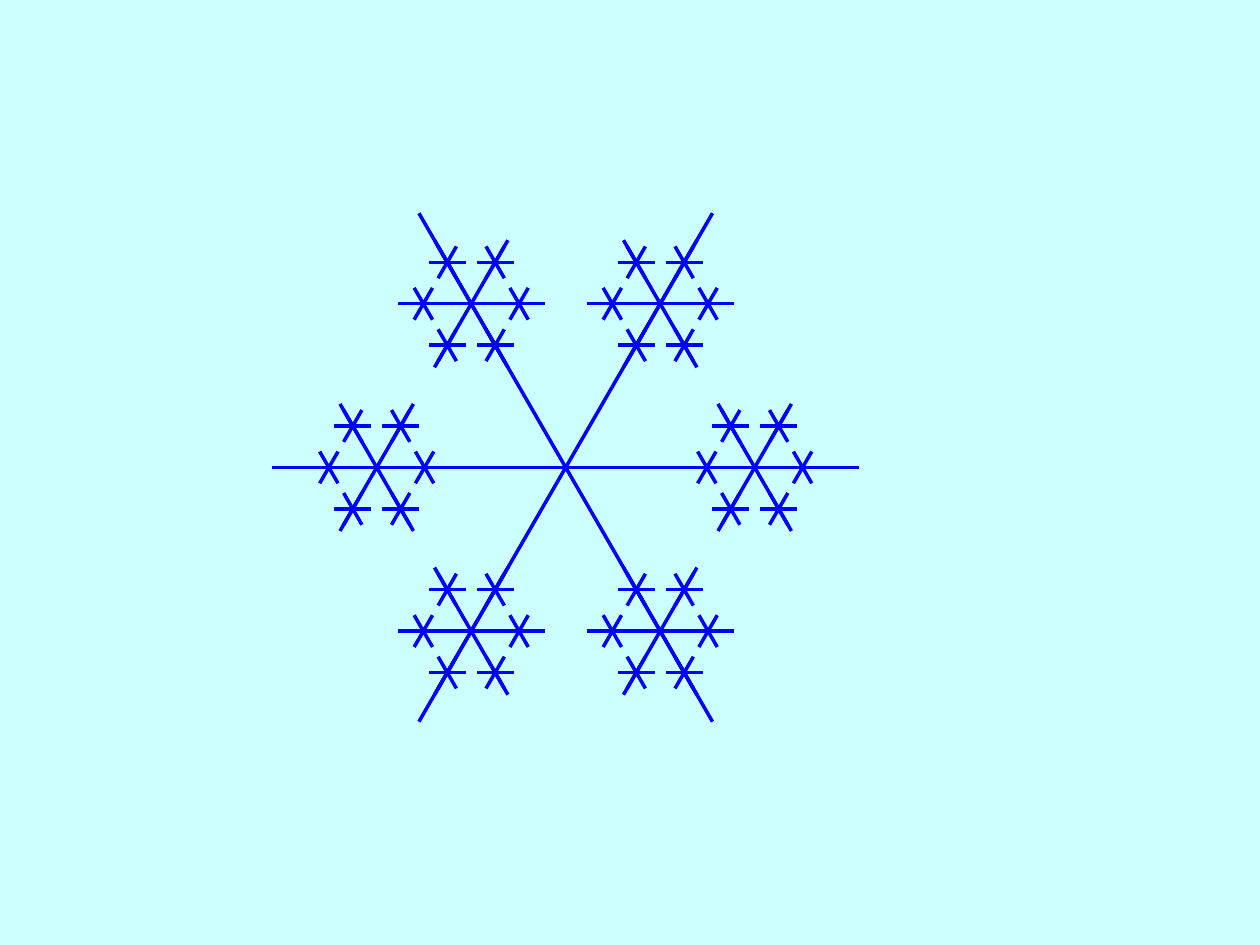
import math
from dataclasses import dataclass

import pptx
import pptx.dml.color
import pptx.enum.shapes
import pptx.oxml.ns
import pptx.slide
import pptx.util
from lxml import etree

Inches = pptx.util.Inches


@dataclass(frozen=True)
class Theme:
    back: str = "CCFFFF"
    ink: str = "0000FF"
    width: float = 2


@dataclass(frozen=True)
class Star:
    x: float
    y: float
    reach: float


THEME = Theme()
CORE = Star(4.49, 3.71, 2.33)
GAPS = (1.5, 0.38)  # distance from a star to its six buds, per level
SHRINK = 4  # each level is a quarter of the size of the one before


def color(code: str) -> pptx.dml.color.RGBColor:
    return pptx.dml.color.RGBColor.from_string(code)


def polar(star: Star, dist: float, angle: float) -> tuple[float, float]:
    turn = math.radians(angle)
    return star.x + dist * math.cos(turn), star.y + dist * math.sin(turn)


def draw(slide: pptx.slide.Slide, star: Star) -> None:
    """Draw three crossing lines as one group."""
    group = slide.shapes.add_group_shape()
    for angle in (0, 60, 120):
        start = polar(star, -star.reach, angle)
        end = polar(star, star.reach, angle)
        line = group.shapes.add_connector(
            pptx.enum.shapes.MSO_CONNECTOR.STRAIGHT,
            *(Inches(value) for value in start + end),
        )
        line.line.color.rgb = color(THEME.ink)
        line.line.width = pptx.util.Pt(THEME.width)
        etree.SubElement(line._element.spPr, pptx.oxml.ns.qn("a:effectLst"))


def sprout(star: Star, gap: float) -> list[Star]:
    """Return the six smaller stars around a star."""
    return [
        Star(*polar(star, gap, angle), star.reach / SHRINK)
        for angle in range(0, 360, 60)
    ]


def main() -> None:
    deck = pptx.Presentation()
    deck.slide_width, deck.slide_height = Inches(10), Inches(7.5)
    slide = deck.slides.add_slide(deck.slide_layouts[6])

    # Background
    fill = slide.background.fill
    fill.solid()
    fill.fore_color.rgb = color(THEME.back)

    # Snowflake, level by level
    level = [CORE]
    flake = list(level)
    for gap in GAPS:
        level = [bud for star in level for bud in sprout(star, gap)]
        flake += level
    for star in flake:
        draw(slide, star)

    deck.save("out.pptx")


if __name__ == "__main__":
    main()
